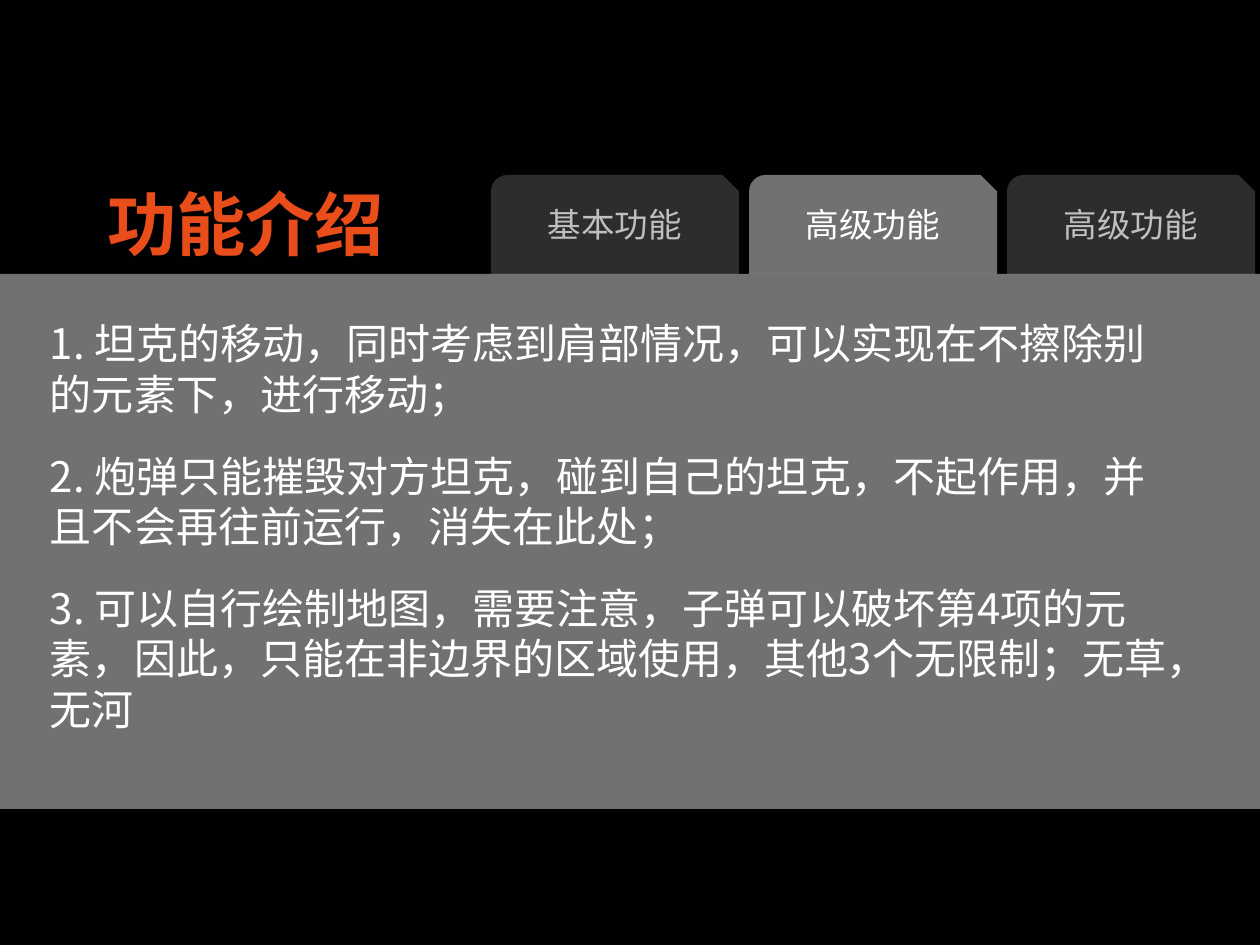
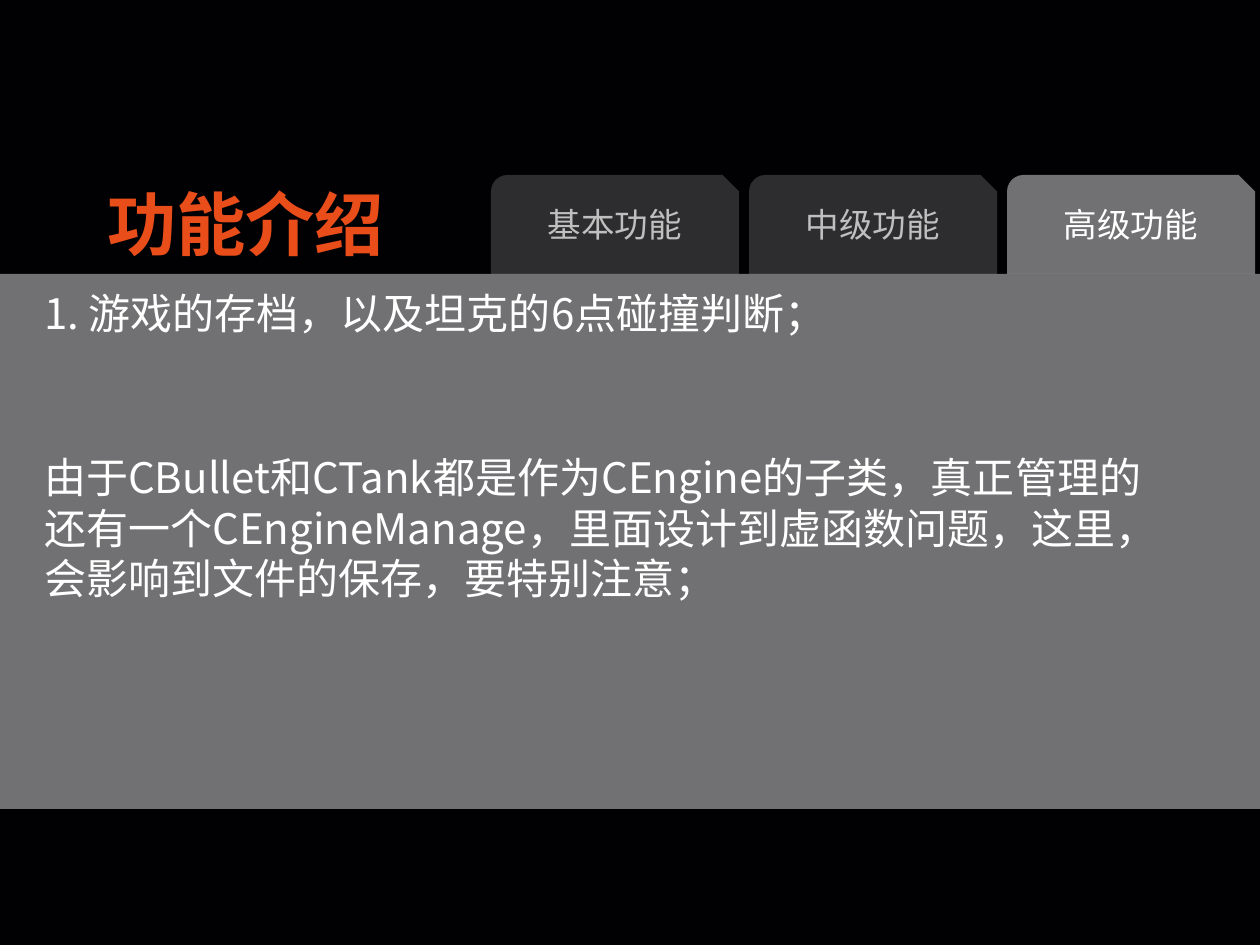
from lxml import etree
from pptx import Presentation
from pptx import util as u
from pptx.dml.color import RGBColor
from pptx.enum import shapes, text
from pptx.oxml.ns import qn

PX = 6052  # EMU per px
SLIDE_WIDTH, SLIDE_HEIGHT = 1260, 945
FONT = "Noto Sans CJK SC"

BLACK = RGBColor(0x01, 0x01, 0x03)
PALE = RGBColor(0xE1, 0xE0, 0xE2)
WHITE = RGBColor(0xFF, 0xFF, 0xFF)
SILVER = RGBColor(0xBF, 0xBF, 0xBF)
ORANGE = RGBColor(0xE9, 0x4D, 0x1A)

BAND_TOP, BAND_HEIGHT = 274, 535
TAB_LEFT, TAB_TOP, TAB_STEP = 491, 175, 258
TAB_WIDTH, TAB_HEIGHT = 248, 99
ACTIVE_OPACITY, IDLE_OPACITY = 50, 20


class Deck:
    def __init__(self):
        self.presentation = Presentation()
        self.presentation.slide_width = SLIDE_WIDTH * PX
        self.presentation.slide_height = SLIDE_HEIGHT * PX
        background = self.presentation.slide_master.background.fill
        background.solid()
        background.fore_color.rgb = BLACK
        self.slide = None

    def new_slide(self):
        layout = self.presentation.slide_layouts[1]
        self.slide = self.presentation.slides.add_slide(layout)

    def place(self, shape, left, top, width, height):
        shape.left, shape.top = left * PX, top * PX
        shape.width, shape.height = width * PX, height * PX

    def set_frame(self, shape, anchor, margins=(15, 8, 15, 8)):
        frame = shape.text_frame
        frame.auto_size = text.MSO_AUTO_SIZE.NONE
        frame.word_wrap = True
        frame.vertical_anchor = anchor
        (frame.margin_left, frame.margin_top,
         frame.margin_right, frame.margin_bottom) = (m * PX for m in margins)
        return frame

    def style(self, paragraph, size, color, alignment, bold=False):
        paragraph.alignment = alignment
        for run in paragraph.runs:
            font = run.font
            font.name, font.size, font.bold = FONT, u.Pt(size), bold
            font.color.rgb = color
            latin = font._element.find(qn("a:latin"))
            east_asian = etree.Element(qn("a:ea"), typeface=FONT)
            latin.addnext(east_asian)

    def panel(self, kind, left, top, width, height, opacity):
        """Add a translucent pale shape without an outline."""
        shape = self.slide.shapes.add_shape(
            kind, left * PX, top * PX, width * PX, height * PX)
        shape.shadow.inherit = False
        shape.line.fill.background()
        shape.fill.solid()
        shape.fill.fore_color.rgb = PALE
        color = next(shape.element.spPr.iter(qn("a:srgbClr")))
        etree.SubElement(color, qn("a:alpha"), val=str(opacity * 1000))
        return shape

    def band(self):
        """Add the content band behind the placeholders."""
        band = self.panel(shapes.MSO_SHAPE.RECTANGLE, 0, BAND_TOP,
                          SLIDE_WIDTH, BAND_HEIGHT, ACTIVE_OPACITY)
        self.slide.shapes.title.element.addprevious(band.element)

    def tabs(self, labels, active):
        for index, label in enumerate(labels):
            is_active = index == active
            tab = self.panel(
                shapes.MSO_SHAPE.SNIP_ROUND_RECTANGLE,
                TAB_LEFT + index * TAB_STEP, TAB_TOP, TAB_WIDTH, TAB_HEIGHT,
                ACTIVE_OPACITY if is_active else IDLE_OPACITY)
            frame = self.set_frame(tab, text.MSO_ANCHOR.MIDDLE, (18, 8, 15, 13))
            frame.text = label
            self.style(frame.paragraphs[0], 16, WHITE if is_active else SILVER,
                       text.PP_ALIGN.CENTER)

    def title(self, words):
        title = self.slide.shapes.title
        self.place(title, 92, 174, 307, 98)
        frame = self.set_frame(title, text.MSO_ANCHOR.MIDDLE)
        frame.word_wrap = False
        frame.text = words
        self.style(frame.paragraphs[0], 33, ORANGE, text.PP_ALIGN.CENTER, True)

    def body(self, items, left, top, gap):
        """Fill the body placeholder; gap is the space between items in points."""
        body = self.slide.placeholders[1]
        self.place(body, left, top, 1148, 500)
        frame = self.set_frame(body, text.MSO_ANCHOR.TOP)
        for index, item in enumerate(items):
            paragraph = frame.paragraphs[0] if index == 0 else frame.add_paragraph()
            paragraph.text = item
            properties = paragraph._p.get_or_add_pPr()
            properties.set("marL", "0")
            properties.set("indent", "0")
            etree.SubElement(properties, qn("a:buNone"))
            paragraph.line_spacing = u.Pt(24)
            paragraph.space_before = u.Pt(gap if index else 0)
            self.style(paragraph, 20, WHITE, text.PP_ALIGN.LEFT)

    def feature_slide(self, labels, active, items, left, top, gap):
        self.new_slide()
        self.band()
        self.title("功能介绍")
        self.tabs(labels, active)
        self.body(items, left, top, gap)


def main():
    deck = Deck()
    deck.feature_slide(
        ("基本功能", "高级功能", "高级功能"), 1,
        ("1. 坦克的移动，同时考虑到肩部情况，可以实现在不擦除别的元素下，进行移动；",
         "2. 炮弹只能摧毁对方坦克，碰到自己的坦克，不起作用，并且不会再往前运行，消失在此处；",
         "3. 可以自行绘制地图，需要注意，子弹可以破坏第4项的元素，因此，"
         "只能在非边界的区域使用，其他3个无限制；无草，无河"),
        left=35, top=310, gap=15)
    deck.feature_slide(
        ("基本功能", "中级功能", "高级功能"), 2,
        ("1. 游戏的存档，以及坦克的6点碰撞判断；",
         "由于CBullet和CTank都是作为CEngine的子类，真正管理的还有一个CEngineManage，"
         "里面设计到虚函数问题，这里，会影响到文件的保存，要特别注意；"),
        left=29, top=280, gap=54)
    deck.presentation.save("out.pptx")


if __name__ == "__main__":
    main()
